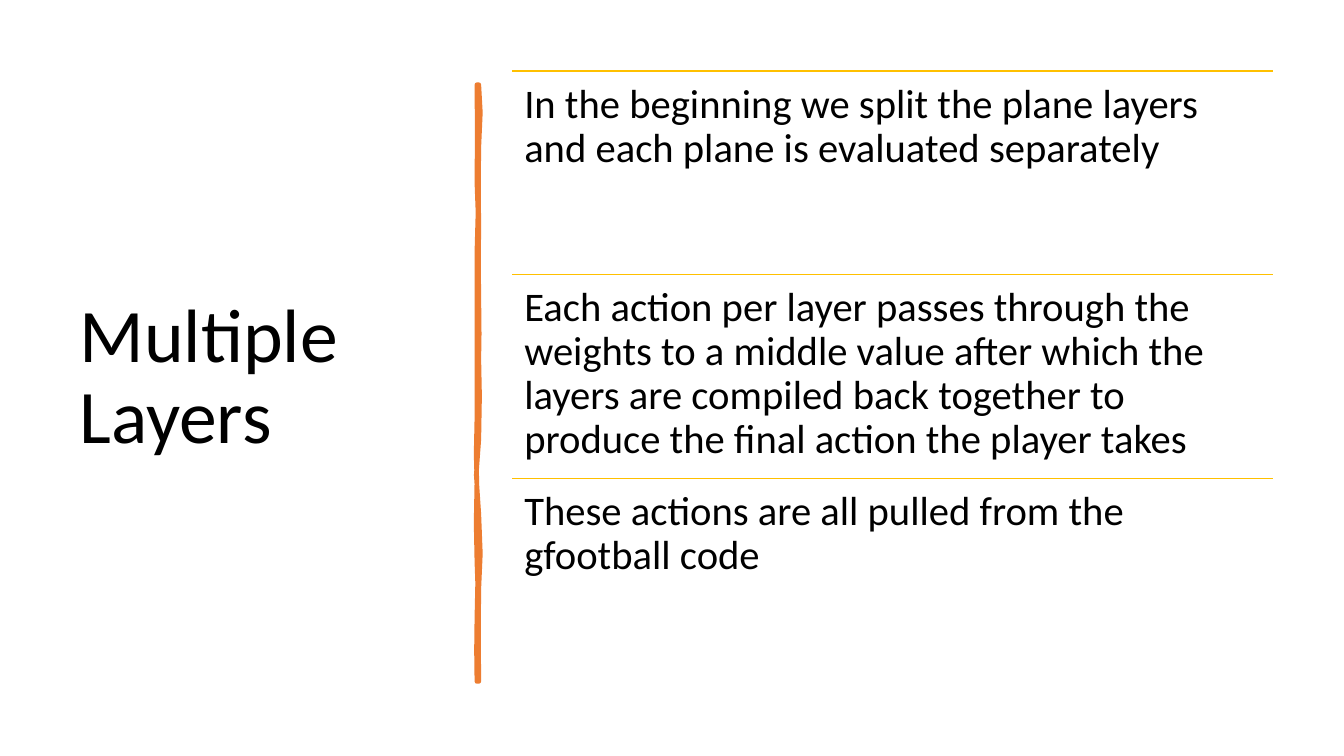
"""Builds the "Multiple Layers" slide with a brushed divider and three ruled statements."""

from dataclasses import dataclass

from lxml.etree import SubElement
from pptx import Presentation
from pptx.dml.color import RGBColor
from pptx.enum.shapes import MSO_CONNECTOR
from pptx.enum.text import MSO_ANCHOR
from pptx.oxml.ns import qn
from pptx.slide import Slide
from pptx.util import Inches, Pt

Point = tuple[float, float]


@dataclass(frozen=True)
class Theme:
    """Colours, font and sizes of the slide."""

    ink: RGBColor = RGBColor(0x00, 0x00, 0x00)
    brush: RGBColor = RGBColor(0xED, 0x7D, 0x31)
    rule: RGBColor = RGBColor(0xFF, 0xC0, 0x00)
    font: str = "Calibri"
    title_size: float = 54
    statement_size: float = 29
    brush_width: float = 3.25
    rule_width: float = 1
    line_spacing: float = 0.9


@dataclass(frozen=True)
class TextBlock:
    """A piece of text with its place and setting."""

    text: str
    left: float
    top: float
    width: float
    height: float
    size: float
    inset_x: float
    inset_y: float
    anchor: MSO_ANCHOR


@dataclass(frozen=True)
class Bend:
    """A cubic curve to an end point by two control points."""

    first: Point
    second: Point
    end: Point


THEME = Theme()
SLIDE_WIDTH, SLIDE_HEIGHT = 13.33, 7.5
STATEMENTS = (
    "In the beginning we split the plane layers and each plane is evaluated separately",
    "Each action per layer passes through the weights to a middle value after which "
    "the layers are compiled back together to produce the final action the player takes",
    "These actions are all pulled from the gfootball code",
)
STATEMENT_LEFT, STATEMENT_WIDTH, STATEMENT_HEIGHT = 5.08, 7.55, 2.02
STATEMENT_TOP = (SLIDE_HEIGHT - 6.09) / 2
BRUSH_START: Point = (4.75, 0.84)
BRUSH_BENDS = (
    Bend((4.77, 1.02), (4.77, 1.19), (4.75, 1.46)),
    Bend((4.73, 1.73), (4.76, 1.95), (4.75, 2.26)),
    Bend((4.74, 2.57), (4.75, 2.62), (4.75, 2.94)),
    Bend((4.74, 3.25), (4.77, 3.42), (4.75, 3.56)),
    Bend((4.73, 3.7), (4.79, 4.14), (4.75, 4.36)),
    Bend((4.71, 4.57), (4.72, 4.84), (4.75, 5.1)),
    Bend((4.77, 5.36), (4.77, 5.64), (4.75, 5.84)),
    Bend((4.73, 6.03), (4.76, 6.5), (4.75, 6.76)),
    Bend((4.74, 6.76), (4.73, 6.76), (4.73, 6.76)),
    Bend((4.74, 6.46), (4.71, 6.44), (4.73, 6.13)),
    Bend((4.74, 5.83), (4.74, 5.7), (4.73, 5.57)),
    Bend((4.72, 5.44), (4.72, 4.95), (4.73, 4.77)),
    Bend((4.73, 4.59), (4.71, 4.45), (4.73, 4.15)),
    Bend((4.74, 3.86), (4.72, 3.73), (4.73, 3.35)),
    Bend((4.74, 2.98), (4.72, 2.81), (4.73, 2.5)),
    Bend((4.74, 2.18), (4.75, 2), (4.73, 1.81)),
    Bend((4.7, 1.63), (4.77, 1.04), (4.73, 0.84)),
)


def add_text(slide: Slide, block: TextBlock) -> None:
    """Adds one wrapped text block."""
    box = slide.shapes.add_textbox(
        Inches(block.left), Inches(block.top), Inches(block.width), Inches(block.height)
    )
    frame = box.text_frame
    frame.word_wrap = True
    frame.vertical_anchor = block.anchor
    frame.margin_left = frame.margin_right = Inches(block.inset_x)
    frame.margin_top = frame.margin_bottom = Inches(block.inset_y)
    frame.text = block.text
    paragraph = frame.paragraphs[0]
    paragraph.line_spacing = THEME.line_spacing
    font = paragraph.runs[0].font
    font.name = THEME.font
    font.size = Pt(block.size)
    font.color.rgb = THEME.ink


def add_rule(slide: Slide, top: float) -> None:
    """Adds the thin rule above a statement."""
    rule = slide.shapes.add_connector(
        MSO_CONNECTOR.STRAIGHT,
        Inches(STATEMENT_LEFT),
        Inches(top),
        Inches(STATEMENT_LEFT + STATEMENT_WIDTH),
        Inches(top),
    )
    rule.line.color.rgb = THEME.rule
    rule.line.width = Pt(THEME.rule_width)
    SubElement(rule._element.spPr, qn("a:effectLst"))


def trace(start: Point, bends: tuple[Bend, ...]) -> list[Point]:
    """Returns the middle and end of each curve in a chain."""
    points = [start]
    for bend in bends:
        corners = zip(points[-1], bend.first, bend.second, bend.end)
        x, y = ((a + 3 * b + 3 * c + d) / 8 for a, b, c, d in corners)
        points += [(x, y), bend.end]
    return points


def add_brush_divider(slide: Slide) -> None:
    """Adds the wavy vertical divider."""
    outline = [(Inches(x), Inches(y)) for x, y in trace(BRUSH_START, BRUSH_BENDS)]
    builder = slide.shapes.build_freeform(*outline[0])
    builder.add_line_segments(outline[1:], close=True)
    divider = builder.convert_to_shape()
    divider.shadow.inherit = False
    divider.fill.solid()
    divider.fill.fore_color.rgb = THEME.brush
    divider.line.color.rgb = THEME.brush
    divider.line.width = Pt(THEME.brush_width)


def main() -> None:
    """Builds and saves the slide."""
    deck = Presentation()
    deck.slide_width, deck.slide_height = Inches(SLIDE_WIDTH), Inches(SLIDE_HEIGHT)
    slide = deck.slides.add_slide(deck.slide_layouts[6])
    add_text(
        slide,
        TextBlock("Multiple Layers", 0.69, 0.7, 3.74, 6.11,
                  THEME.title_size, 0.1, 0.05, MSO_ANCHOR.MIDDLE),
    )
    add_brush_divider(slide)
    for row, statement in enumerate(STATEMENTS):
        top = STATEMENT_TOP + row * STATEMENT_HEIGHT
        add_rule(slide, top)
        add_text(
            slide,
            TextBlock(statement, STATEMENT_LEFT, top, STATEMENT_WIDTH, STATEMENT_HEIGHT,
                      THEME.statement_size, 0.12, 0.12, MSO_ANCHOR.TOP),
        )
    deck.save("out.pptx")


if __name__ == "__main__":
    main()
